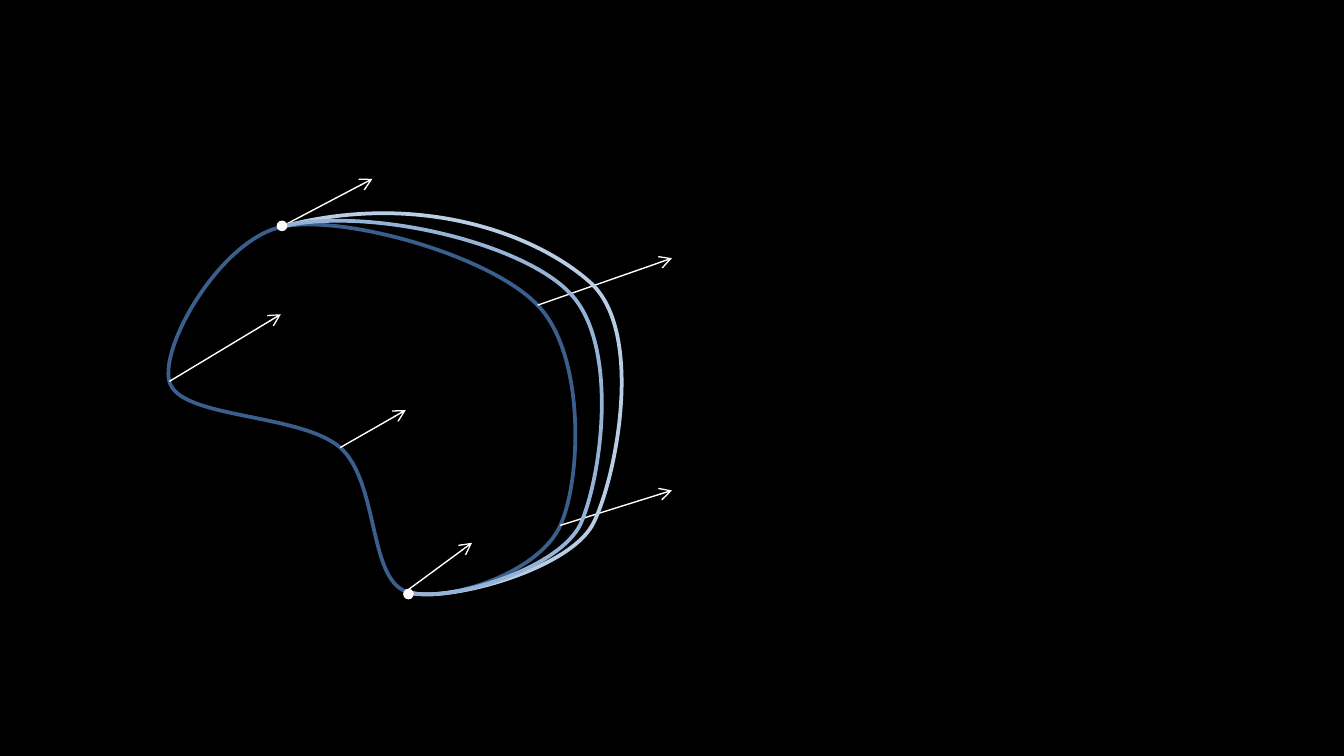
from lxml.etree import SubElement
from pptx import Presentation
from pptx.dml.color import RGBColor
from pptx.enum.shapes import MSO_CONNECTOR as Connector, MSO_SHAPE as Shape
from pptx.oxml.ns import qn
from pptx.util import Cm, Pt

TOP_POINT = (5.31, 4.29)
LEFT_POINT = (3.2, 7.21)
INNER_POINT = (6.43, 8.46)
BOTTOM_POINT = (7.67, 11.18)
LOWER_RIGHT_POINT = (10.59, 9.93)
UPPER_RIGHT_POINT = (10.16, 5.77)

CLOSED_CURVE = [
    TOP_POINT,
    (4.17, 4.55), (3.02, 6.53), LEFT_POINT,
    (3.38, 7.92), (5.66, 7.8), INNER_POINT,
    (7.16, 9.12), (6.96, 10.92), BOTTOM_POINT,
    (8.36, 11.43), (10.19, 10.85), LOWER_RIGHT_POINT,
    (11, 9.02), (11.05, 6.68), UPPER_RIGHT_POINT,
    (9.27, 4.83), (6.48, 4.04), TOP_POINT,
]
OUTER_CURVE = [
    BOTTOM_POINT,
    (8.36, 11.43), (10.82, 10.77), (11.23, 9.86),
    (11.66, 8.97), (12.17, 6.3), (11.18, 5.36),
    (10.19, 4.45), (7.95, 3.58), TOP_POINT,
]
MIDDLE_CURVE = [
    (7.65, 11.18),
    (8.33, 11.43), (10.54, 10.8), (10.97, 9.91),
    (11.38, 8.99), (11.71, 6.45), (10.74, 5.51),
    (9.8, 4.57), (6.93, 3.89), (5.28, 4.29),
]
ARROWS = [
    (UPPER_RIGHT_POINT, (12.7, 4.88)),
    (LOWER_RIGHT_POINT, (12.7, 9.27)),
    (BOTTOM_POINT, (8.92, 10.26)),
    (LEFT_POINT, (5.31, 5.94)),
    (INNER_POINT, (7.67, 7.75)),
    (TOP_POINT, (7.04, 3.38)),
]
DOT_CENTERS = [(5.33, 4.27), (7.72, 11.23)]
DOT_SIZE = 0.2
STEPS = 16


def color(value):
    return RGBColor.from_string(value)


def bezier_point(controls, t):
    weights = ((1 - t) ** 3, 3 * t * (1 - t) ** 2, 3 * t * t * (1 - t), t ** 3)
    return tuple(sum(w * c for w, c in zip(weights, axis)) for axis in zip(*controls))


def to_emu(point):
    return tuple(Cm(value) for value in point)


def add_curve(slide, points, line_color, closed=False):
    starts = range(0, len(points) - 1, 3)
    samples = [
        to_emu(bezier_point(points[start:start + 4], step / STEPS))
        for start in starts for step in range(1, STEPS + 1)
    ]
    builder = slide.shapes.build_freeform(*to_emu(points[0]))
    builder.add_line_segments(samples, close=closed)
    shape = builder.convert_to_shape()
    shape.shadow.inherit = False
    shape.fill.background()
    shape.line.color.rgb = color(line_color)
    shape.line.width = Pt(2)

    # The sampled outline sets the extents; its segments become cubic curves.
    outline = next(shape.element.iter(qn("a:path")))
    for segment in outline.findall(qn("a:lnTo")) + outline.findall(qn("a:close")):
        outline.remove(segment)
    for start in starts:
        cubic = SubElement(outline, qn("a:cubicBezTo"))
        for point in points[start + 1:start + 4]:
            x, y = to_emu(point)
            SubElement(cubic, qn("a:pt"), x=str(x - shape.left), y=str(y - shape.top))
    if closed:
        SubElement(outline, qn("a:close"))


def add_arrow(slide, start, tip):
    arrow = slide.shapes.add_connector(Connector.STRAIGHT, *to_emu(start), *to_emu(tip))
    arrow.line.color.rgb = color("FFFFFF")
    arrow.line.width = Pt(0.75)
    SubElement(arrow.line._get_or_add_ln(), qn("a:tailEnd"), type="arrow")
    SubElement(arrow.element.spPr, qn("a:effectLst"))


def add_dot(slide, center):
    left, top = (Cm(value - DOT_SIZE / 2) for value in center)
    dot = slide.shapes.add_shape(Shape.OVAL, left, top, Cm(DOT_SIZE), Cm(DOT_SIZE))
    dot.shadow.inherit = False
    dot.fill.solid()
    dot.fill.fore_color.rgb = color("FFFFFF")
    dot.line.fill.background()


def main():
    presentation = Presentation()
    presentation.slide_width = Cm(25.4)
    presentation.slide_height = Cm(14.29)
    slide = presentation.slides.add_slide(presentation.slide_layouts[6])
    slide.background.fill.solid()
    slide.background.fill.fore_color.rgb = color("000000")

    add_curve(slide, CLOSED_CURVE, "3A5F8C", closed=True)
    for start, tip in ARROWS:
        add_arrow(slide, start, tip)
    add_curve(slide, OUTER_CURVE, "B9CDE5")
    add_curve(slide, MIDDLE_CURVE, "95B3D7")
    for center in DOT_CENTERS:
        add_dot(slide, center)

    presentation.save("out.pptx")


if __name__ == "__main__":
    main()
